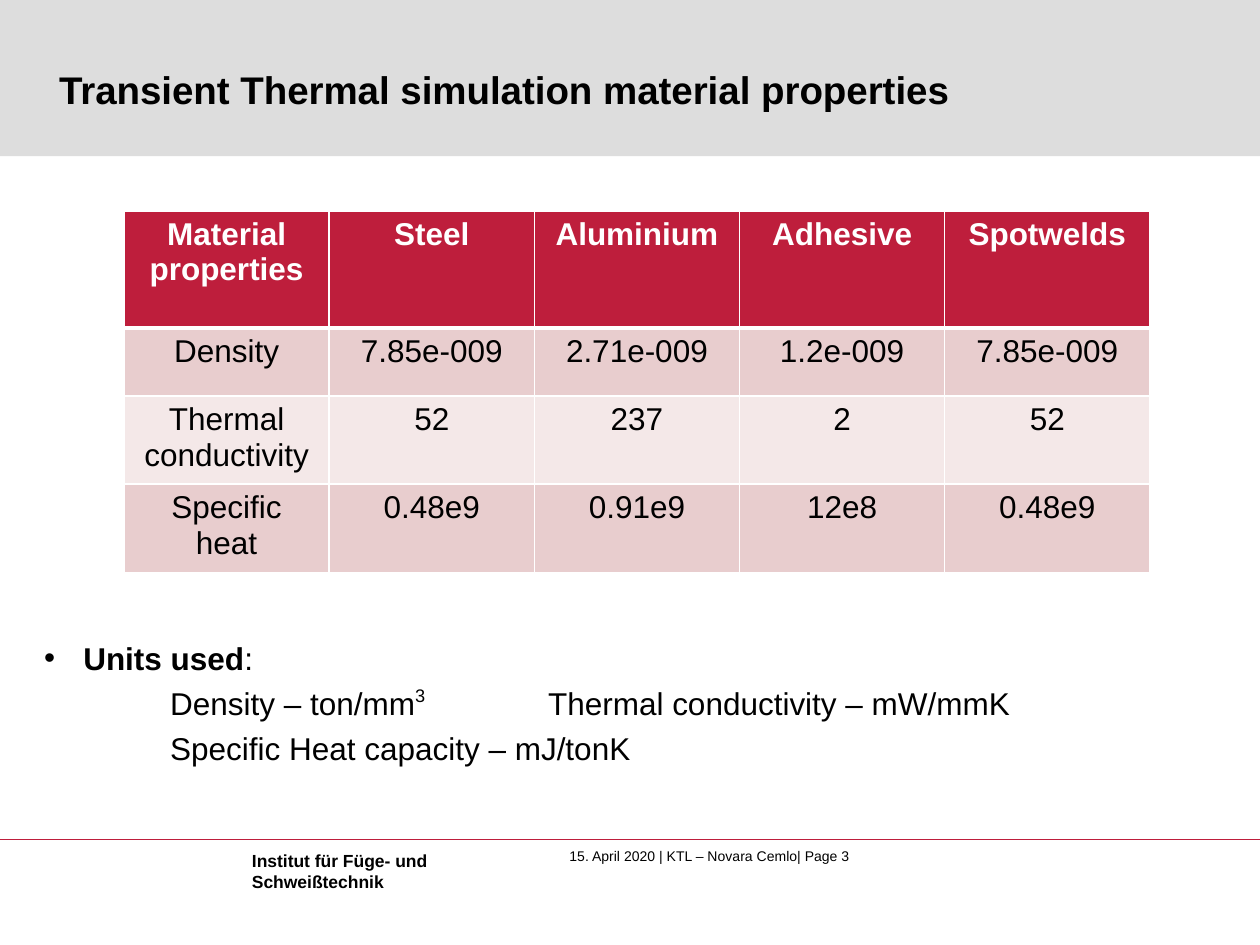
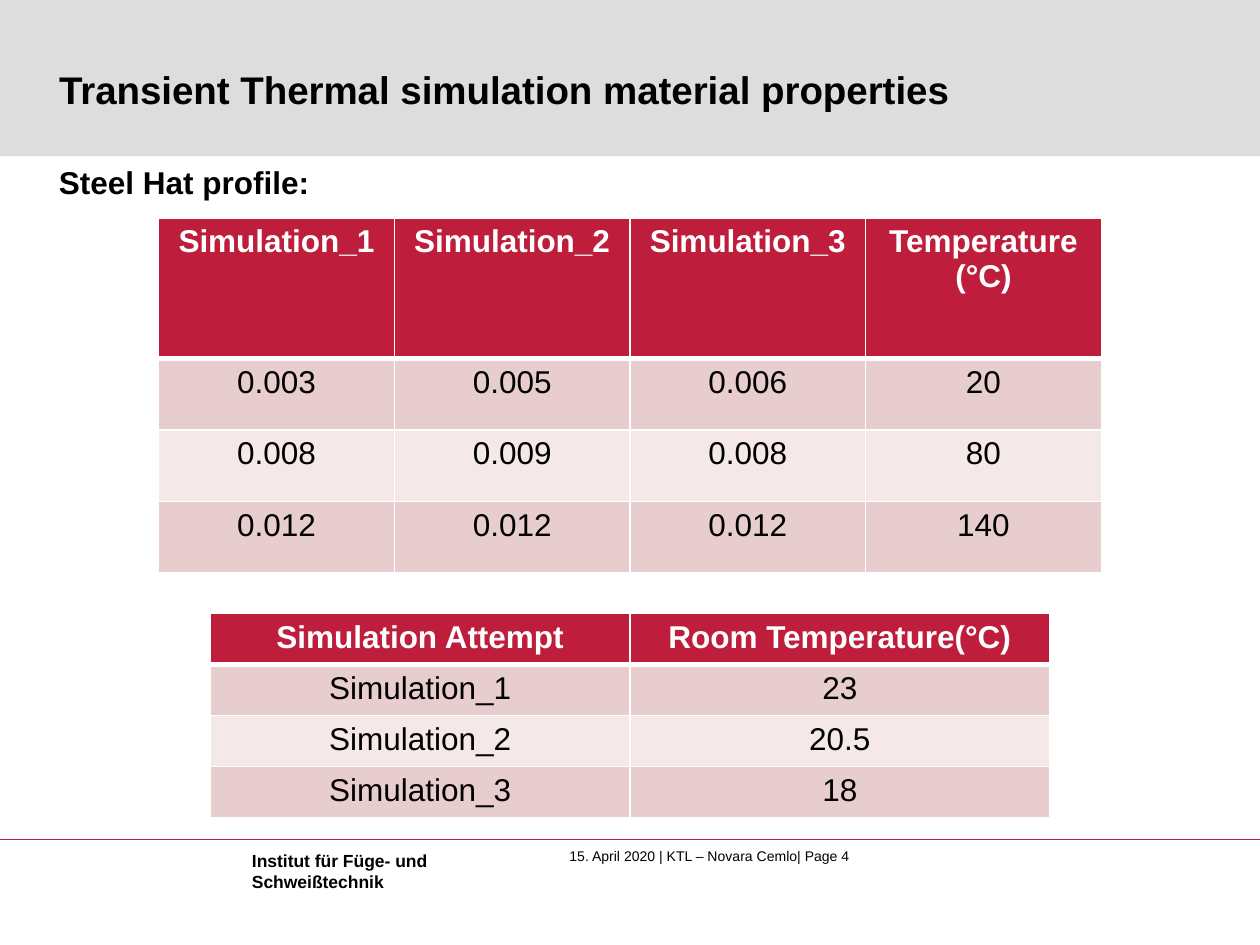
from lxml.etree import SubElement
from pptx import Presentation
from pptx.dml.color import RGBColor
from pptx.enum.shapes import MSO_CONNECTOR as Connector, MSO_SHAPE as Shape
from pptx.enum.text import MSO_ANCHOR as Anchor, PP_ALIGN as Align
from pptx.oxml import parse_xml
from pptx.oxml.ns import nsdecls, qn
from pptx.util import Cm, Pt

RED, GREY, BLACK, WHITE = "BE1E3C", "DDDDDD", "000000", "FFFFFF"
ROW_FILLS = ("E8CDCE", "F4E8E8")
FONT = "Arial"
SLIDE_WIDTH, SLIDE_HEIGHT = 25.4, 19.05
TAB_STOPS = (2.54, 10.16)
BULLET_INDENT = 0.79

TITLE = "Transient Thermal simulation material properties"
INSTITUTE = ["Institut für Füge- und", "Schweißtechnik"]
FOOTER = "15. April 2020 | KTL – Novara Cemlo| Page {}"

SLIDES = [
    {
        "page": 3,
        "body": {
            "box": (0.89, 12.88, 23.24, 3.6),
            "paragraphs": [
                {"bullet": True, "runs": [("Units used", {"bold": True}), (":", {})]},
                {"runs": [
                    ("\tDensity – ton/mm", {}),
                    ("3", {"baseline": 40}),
                    ("\tThermal conductivity – mW/mmK", {}),
                ]},
                {"runs": [("\tSpecific Heat capacity – mJ/tonK", {})]},
            ],
        },
        "tables": [
            {
                "place": (2.5, 4.25, 20.68),
                "heights": (2.36, 1.37),
                "rows": [
                    ["Material properties", "Steel", "Aluminium", "Adhesive", "Spotwelds"],
                    ["Density", "7.85e-009", "2.71e-009", "1.2e-009", "7.85e-009"],
                    ["Thermal conductivity", "52", "237", "2", "52"],
                    ["Specific heat", "0.48e9", "0.91e9", "12e8", "0.48e9"],
                ],
            },
        ],
    },
    {
        "page": 4,
        "body": {
            "box": (1.19, 3.28, 23.24, 1),
            "paragraphs": [{"runs": [("Steel Hat profile:", {"bold": True})]}],
        },
        "tables": [
            {
                "place": (3.2, 4.39, 19),
                "heights": (2.84, 1.44),
                "rows": [
                    ["Simulation_1", "Simulation_2", "Simulation_3", "Temperature\n(°C)"],
                    ["0.003", "0.005", "0.006", "20"],
                    ["0.008", "0.009", "0.008", "80"],
                    ["0.012", "0.012", "0.012", "140"],
                ],
            },
            {
                "place": (4.24, 12.36, 16.92),
                "heights": (1.03, 1.03),
                "rows": [
                    ["Simulation Attempt", "Room Temperature(°C)"],
                    ["Simulation_1", "23"],
                    ["Simulation_2", "20.5"],
                    ["Simulation_3", "18"],
                ],
            },
        ],
    },
]


def rgb(color):
    return RGBColor.from_string(color)


def lengths(values):
    return [Cm(value) for value in values]


def add_text(paragraph, text, size=18, color=BLACK, bold=False, baseline=0):
    run = paragraph.add_run()
    run.text = text
    run.font.name = FONT
    run.font.size = Pt(size)
    run.font.bold = bold
    run.font.color.rgb = rgb(color)
    if baseline:
        run.font._element.set("baseline", str(baseline * 1000))


def add_paragraphs(frame, lines, align=None, **text_format):
    for index, line in enumerate(lines):
        paragraph = frame.add_paragraph() if index else frame.paragraphs[0]
        paragraph.alignment = align
        add_text(paragraph, line, **text_format)


def clear_margins(frame):
    frame.margin_left = frame.margin_top = frame.margin_right = frame.margin_bottom = 0


def add_text_box(slide, box, margins=False, wrap=True):
    frame = slide.shapes.add_textbox(*lengths(box)).text_frame
    frame.word_wrap = wrap
    if not margins:
        clear_margins(frame)
    return frame


def add_title(slide):
    title = slide.shapes.title
    title.left, title.top, title.width, title.height = lengths((1.19, 0.3, 23.27, 1.96))
    frame = title.text_frame
    clear_margins(frame)
    frame.word_wrap = True
    frame.vertical_anchor = Anchor.BOTTOM
    add_paragraphs(frame, [TITLE], align=Align.LEFT, size=22, bold=True)


def add_band(slide):
    band = slide.shapes.add_shape(Shape.RECTANGLE, *lengths((0, 0, SLIDE_WIDTH, 3.15)))
    band.shadow.inherit = False
    band.fill.solid()
    band.fill.fore_color.rgb = rgb(GREY)
    band.line.fill.background()
    slide.shapes.title.element.addprevious(band.element)


def add_footer(slide, page):
    rule = slide.shapes.add_connector(
        Connector.STRAIGHT, *lengths((0, 16.92, SLIDE_WIDTH, 16.92)))
    rule.line.color.rgb = rgb(RED)
    rule.line.width = Pt(0.75)
    SubElement(rule.element.spPr, qn("a:effectLst"))
    date_frame = add_text_box(slide, (11.48, 17.09, 13.92, 0.69))
    add_paragraphs(date_frame, [FOOTER.format(page)], size=8)
    institute_frame = add_text_box(slide, (4.83, 17.02, 4.11, 1.09), margins=True, wrap=False)
    add_paragraphs(institute_frame, INSTITUTE, size=10, bold=True)


def add_body(slide, body):
    frame = add_text_box(slide, body["box"])
    for index, content in enumerate(body["paragraphs"]):
        paragraph = frame.add_paragraph() if index else frame.paragraphs[0]
        paragraph.space_before = Pt(4.2)
        properties = paragraph._p.get_or_add_pPr()
        if content.get("bullet"):
            properties.set("marL", str(Cm(BULLET_INDENT)))
            properties.set("indent", str(-Cm(BULLET_INDENT)))
            SubElement(properties, qn("a:buFont"), typeface=FONT)
            SubElement(properties, qn("a:buChar"), char="•")
        else:
            tabs = SubElement(properties, qn("a:tabLst"))
            for stop in TAB_STOPS:
                SubElement(tabs, qn("a:tab"), pos=str(Cm(stop)), algn="l")
        for text, text_format in content["runs"]:
            add_text(paragraph, text, **text_format)


def set_borders(cell, row_index):
    widths = {"L": 1, "R": 1, "T": 3 if row_index == 1 else 1, "B": 3 if row_index == 0 else 1}
    properties = cell._tc.get_or_add_tcPr()
    for position, (side, width) in enumerate(widths.items()):
        properties.insert(position, parse_xml(
            f'<a:ln{side} {nsdecls("a")} w="{Pt(width)}"><a:solidFill>'
            f'<a:srgbClr val="{WHITE}"/></a:solidFill></a:ln{side}>'))


def add_data_table(slide, place, heights, rows):
    left, top, width = place
    header_height, row_height = heights
    height = header_height + row_height * (len(rows) - 1)
    table = slide.shapes.add_table(
        len(rows), len(rows[0]), *lengths((left, top, width, height))).table
    for column in table.columns:
        column.width = Cm(width / len(rows[0]))
    for row_index, values in enumerate(rows):
        header = row_index == 0
        table.rows[row_index].height = Cm(header_height if header else row_height)
        fill = RED if header else ROW_FILLS[(row_index - 1) % 2]
        for column_index, value in enumerate(values):
            cell = table.cell(row_index, column_index)
            cell.fill.solid()
            cell.fill.fore_color.rgb = rgb(fill)
            set_borders(cell, row_index)
            add_paragraphs(cell.text_frame, value.split("\n"), align=Align.CENTER,
                           color=WHITE if header else BLACK, bold=header)


def main():
    presentation = Presentation()
    presentation.slide_width, presentation.slide_height = lengths((SLIDE_WIDTH, SLIDE_HEIGHT))
    title_only = presentation.slide_layouts[5]
    for content in SLIDES:
        slide = presentation.slides.add_slide(title_only)
        add_title(slide)
        add_band(slide)
        add_footer(slide, content["page"])
        add_body(slide, content["body"])
        for table in content["tables"]:
            add_data_table(slide, **table)
    presentation.save("out.pptx")


if __name__ == "__main__":
    main()
